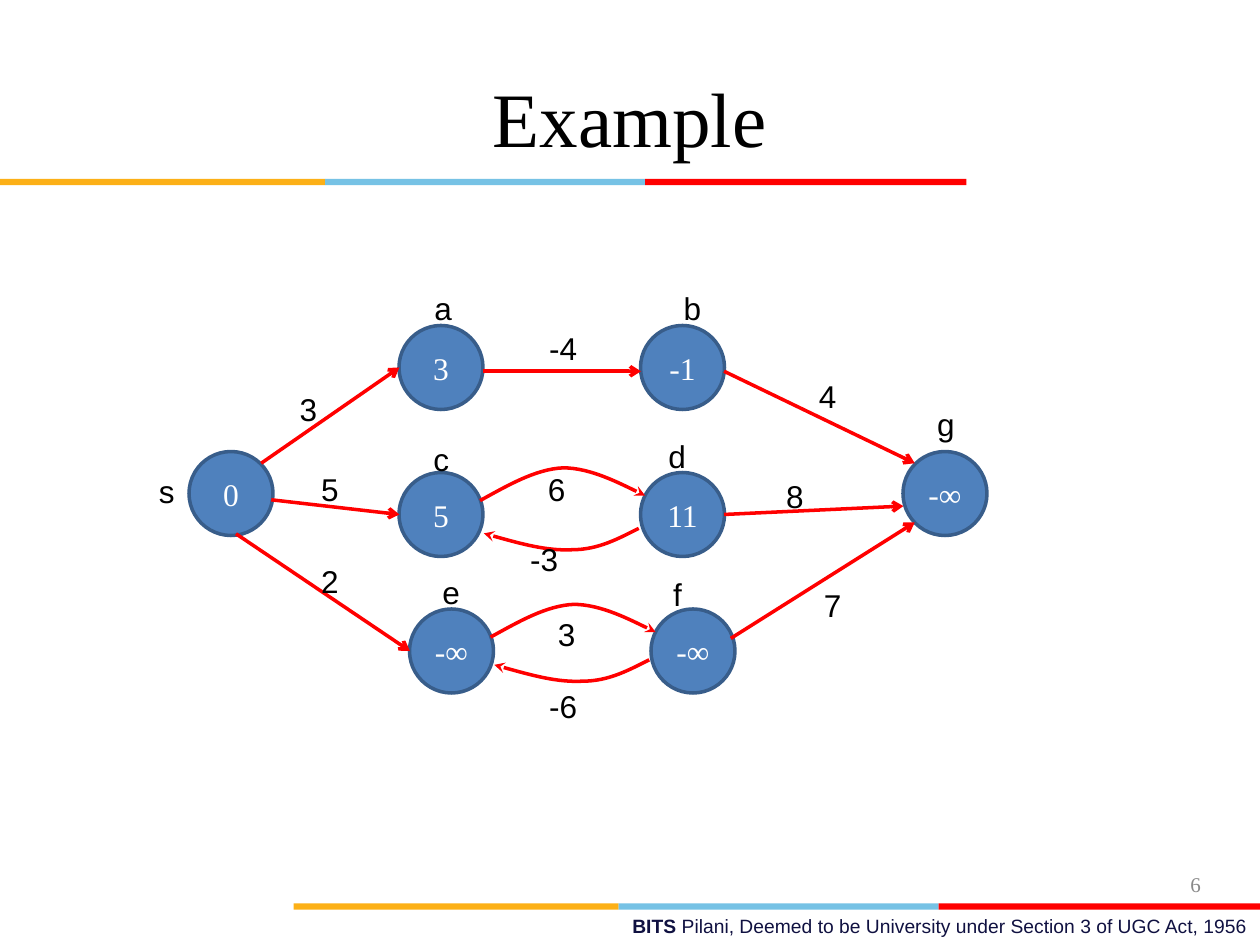
from lxml import etree
from pptx import Presentation
from pptx.dml.color import RGBColor
from pptx.enum.shapes import MSO_CONNECTOR, MSO_SHAPE
from pptx.enum.text import MSO_ANCHOR, PP_ALIGN
from pptx.oxml.ns import qn
from pptx.util import Inches, Pt

LEFT, CENTER, RIGHT = PP_ALIGN.LEFT, PP_ALIGN.CENTER, PP_ALIGN.RIGHT
TOP, MIDDLE = MSO_ANCHOR.TOP, MSO_ANCHOR.MIDDLE
RECTANGLE, OVAL = MSO_SHAPE.RECTANGLE, MSO_SHAPE.OVAL
STRAIGHT = MSO_CONNECTOR.STRAIGHT

WIDTH, HEIGHT = 10, 7.5
GRID = 1 / 12
NODE_CELLS = 8
LABEL_HEIGHT = 0.4
LINE_WIDTH = 2
SERIF, SANS = "Times New Roman", "Arial"
BLACK, WHITE, RED, GREY, NAVY = "000000", "FFFFFF", "FF0000", "898989", "101141"
NODE_FILL, NODE_LINE = "4F81BD", "385D8A"

BANDS = [("FCB017", 2.58), ("76C2E5", 2.54), (RED, 2.55)]
BAND_STARTS = [(2.33, 7.17), (0, 1.42)]
BAND_HEIGHT = 0.05
FOOTER = [("BITS ", True),
          ("Pilani, Deemed to be University under Section 3 of UGC Act, 1956", False)]

# name: (column, row, distance, label offset from the centre)
NODES = {
    "s": (18, 43, "0", (-0.51, -0.02)),
    "a": (38, 31, "3", (0.02, -0.47)),
    "b": (61, 31, "-1", (0.08, -0.47)),
    "g": (86, 43, "-∞", (0.01, -0.55)),
    "c": (38, 45, "5", (0, -0.44)),
    "d": (61, 45, "11", (-0.04, -0.46)),
    "f": (62, 58, "-∞", (-0.12, -0.45)),
    "e": (39, 58, "-∞", (0, -0.47)),
}
EDGES = [
    ("s", (0.24, -0.24), "a", (-0.33, 0)),
    ("s", (0.32, 0.05), "c", (-0.33, 0)),
    ("s", (0.04, 0.32), "e", (-0.33, 0)),
    ("a", (0.33, 0.03), "b", (-0.33, 0.03)),
    ("b", (0.33, 0.03), "g", (-0.24, -0.24)),
    ("d", (0.33, 0), "g", (-0.33, 0.1)),
    ("f", (0.3, -0.1), "g", (-0.24, 0.23)),
]
FORWARD = [(0.31, -0.11), (0.53, -0.23), (0.75, -0.36), (0.97, -0.37),
           (1.19, -0.37), (1.62, -0.15), (1.62, -0.15)]
BACKWARD = [(1.57, 0.11), (1.41, 0.19), (1.25, 0.28), (1.04, 0.28),
            (0.84, 0.29), (0.59, 0.22), (0.34, 0.15)]
CURVES = [("c", FORWARD, 0), ("c", BACKWARD, 0), ("e", FORWARD, 0), ("e", BACKWARD, -0.04)]
WEIGHTS = [
    ("3", 2.45, 3.25), ("-4", 4.47, 2.76), ("2", 2.62, 4.61), ("5", 2.62, 3.88),
    ("-3", 4.32, 4.44), ("6", 4.42, 3.88), ("4", 6.57, 3.14), ("8", 6.31, 3.94),
    ("7", 6.61, 4.8), ("3", 4.5, 5.03), ("-6", 4.47, 5.6),
]
NARROW_GLYPHS = {"-": 0.08, "s": 0.12, "c": 0.12, "f": 0.07}


def color(value):
    """Turn a hex string into a colour."""
    return RGBColor.from_string(value)


def write(shape, runs, size, font, ink, align=LEFT, anchor=TOP, wrap=True):
    """Write (text, bold) runs into the only paragraph of a shape."""
    frame = shape.text_frame
    frame.word_wrap = wrap
    frame.vertical_anchor = anchor
    paragraph = frame.paragraphs[0]
    paragraph.alignment = align
    for text, bold in runs:
        run = paragraph.add_run()
        run.text = text
        run.font.size, run.font.name, run.font.bold = Pt(size), font, bold
        run.font.color.rgb = color(ink)


def add_text(slide, box, *args, **options):
    """Add a text box at (left, top, width, height) in inches."""
    write(slide.shapes.add_textbox(*map(Inches, box)), *args, **options)


def add_label(slide, text, x, y):
    """Add a graph label centred on a point."""
    width = 0.2 + sum(NARROW_GLYPHS.get(glyph, 0.14) for glyph in text)
    box = (x - width / 2, y - LABEL_HEIGHT / 2, width, LABEL_HEIGHT)
    add_text(slide, box, [(text, False)], 18, SANS, BLACK, wrap=False)


def add_preset(slide, kind, box, fill):
    """Add a filled preset shape without outline or shadow."""
    shape = slide.shapes.add_shape(kind, *map(Inches, box))
    shape.shadow.inherit = False
    shape.fill.solid()
    shape.fill.fore_color.rgb = color(fill)
    shape.line.fill.background()
    return shape


def style_arrow(shape, head):
    """Make a line red with an arrowhead at its end."""
    shape.line.color.rgb = color(RED)
    shape.line.width = Pt(LINE_WIDTH)
    etree.SubElement(shape.line._get_or_add_ln(), qn("a:tailEnd"), type=head)


def center(name):
    """Give the centre of a node in inches."""
    column, row = NODES[name][:2]
    return (column + NODE_CELLS / 2) * GRID, (row + NODE_CELLS / 2) * GRID


def shifted(name, offset):
    """Give a point at an offset from the centre of a node."""
    return tuple(base + move for base, move in zip(center(name), offset))


def add_curve(slide, points):
    """Draw a chain of cubic curves through control points in inches."""
    start, *controls = [tuple(map(Inches, point)) for point in points]
    builder = slide.shapes.build_freeform(*start)
    builder.add_line_segments(controls, close=False)
    curve = builder.convert_to_shape()
    segments = list(curve._element.iter(qn("a:lnTo")))
    for first in range(0, len(segments), 3):
        cubic = etree.SubElement(segments[first].getparent(), qn("a:cubicBezTo"))
        for segment in segments[first:first + 3]:
            cubic.append(segment[0])
            segment.getparent().remove(segment)
    curve.shadow.inherit = False
    curve.fill.background()
    style_arrow(curve, "stealth")


def add_bands(slide):
    """Draw the two three-colour rules."""
    for left, top in BAND_STARTS:
        for fill, width in BANDS:
            add_preset(slide, RECTANGLE, (left, top, width, BAND_HEIGHT), fill)
            left += width


def add_nodes(slide):
    """Draw the nodes with their distances."""
    for column, row, distance, _ in NODES.values():
        box = [cells * GRID for cells in (column, row, NODE_CELLS, NODE_CELLS)]
        shape = add_preset(slide, OVAL, box, NODE_FILL)
        shape.line.color.rgb = color(NODE_LINE)
        shape.line.width = Pt(LINE_WIDTH)
        write(shape, [(distance, False)], 18, SERIF, WHITE, CENTER, MIDDLE)


def add_edges(slide):
    """Draw the straight and curved edges."""
    for source, start, target, end in EDGES:
        ends = shifted(source, start) + shifted(target, end)
        connector = slide.shapes.add_connector(STRAIGHT, *map(Inches, ends))
        style_arrow(connector, "arrow")
        etree.SubElement(connector._element.spPr, qn("a:effectLst"))
    for name, offsets, lift in CURVES:
        add_curve(slide, [shifted(name, (x, y + lift)) for x, y in offsets])


def main():
    """Build the slide and save it."""
    presentation = Presentation()
    presentation.slide_width, presentation.slide_height = Inches(WIDTH), Inches(HEIGHT)
    slide = presentation.slides.add_slide(presentation.slide_layouts[6])
    add_text(slide, (3.58, 7.21, 6.42, 0.29), FOOTER, 11, SANS, NAVY, RIGHT)
    add_bands(slide)
    add_text(slide, (0.5, 0.3, 9, 1.25), [("Example", False)], 44, SERIF, BLACK, CENTER, MIDDLE)
    add_text(slide, (7.3, 6.82, 2.33, 0.4), [("6", False)], 12, SERIF, GREY, RIGHT, MIDDLE)
    add_nodes(slide)
    add_edges(slide)
    for weight in WEIGHTS:
        add_label(slide, *weight)
    for name, node in NODES.items():
        add_label(slide, name, *shifted(name, node[3]))
    presentation.save("out.pptx")


if __name__ == "__main__":
    main()
